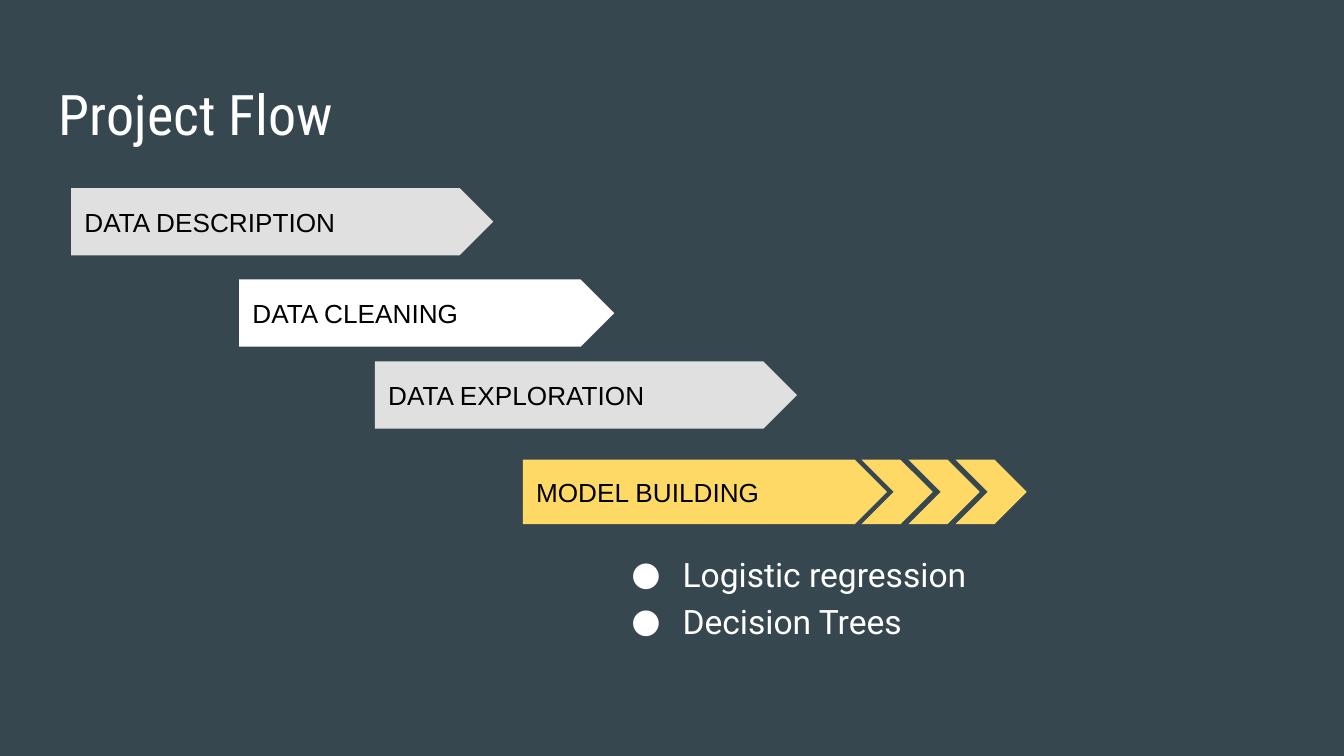
"""Build the Project Flow slide: staggered stage arrows and the models used."""
from lxml import etree
from pptx import Presentation
from pptx.dml.color import RGBColor
from pptx.enum.shapes import MSO_SHAPE
from pptx.enum.text import MSO_ANCHOR, PP_ALIGN
from pptx.oxml.ns import qn
from pptx.util import Inches, Pt

PENTAGON, CHEVRON = MSO_SHAPE.PENTAGON, MSO_SHAPE.CHEVRON
TOP, MIDDLE, LEFT = MSO_ANCHOR.TOP, MSO_ANCHOR.MIDDLE, PP_ALIGN.LEFT
SLATE, WHITE, BLACK = "37474F", "FFFFFF", "000000"
GREY, YELLOW = "E0E0E0", "FFD966"

SLIDE_WIDTH = 10
SLIDE_HEIGHT = SLIDE_WIDTH * 9 / 16
TITLE = "Project Flow"
STAGES = [
    ("DATA DESCRIPTION", 0.53, 1.4, 3.14, GREY),
    ("DATA CLEANING", 1.78, 2.08, 2.79, WHITE),
    ("DATA EXPLORATION", 2.79, 2.69, 3.14, GREY),
]
STAGE_HEIGHT = 0.5
FINAL_STAGE = ("MODEL BUILDING", 3.89, 3.42, 2.71, YELLOW)
FINAL_HEIGHT = 0.48
CHEVRON_COUNT, CHEVRON_LEFT, CHEVRON_WIDTH, CHEVRON_STEP = 3, 6.41, 0.53, 0.35
MODELS = ["Logistic regression", "Decision Trees"]


def rgb(color):
    """Turn a hex string into a colour."""
    return RGBColor.from_string(color)


def write(shape, *lines, font, size, color, anchor=TOP, spacing=None, bullet=None):
    """Fill a shape with one paragraph per line."""
    frame = shape.text_frame
    frame.word_wrap = True
    frame.vertical_anchor = anchor
    frame.margin_left = frame.margin_right = Inches(0.1)
    frame.margin_top = frame.margin_bottom = Inches(0.1)
    for index, line in enumerate(lines):
        paragraph = frame.add_paragraph() if index else frame.paragraphs[0]
        paragraph.alignment = LEFT
        if spacing:
            paragraph.line_spacing = spacing
        run = paragraph.add_run()
        run.text = line
        run.font.name, run.font.size = font, Pt(size)
        run.font.color.rgb = rgb(color)
        if bullet:
            properties = paragraph._p.get_or_add_pPr()
            properties.set("marL", str(Inches(0.5)))
            properties.set("indent", str(Inches(-0.38)))
            bullet_color = etree.SubElement(properties, qn("a:buClr"))
            etree.SubElement(bullet_color, qn("a:srgbClr"), val=color)
            etree.SubElement(properties, qn("a:buFont"), typeface=font)
            etree.SubElement(properties, qn("a:buChar"), char=bullet)


def add_arrow(shapes, kind, left, top, width, height, color):
    """Add a flat, unlined arrow shape."""
    arrow = shapes.add_shape(kind, Inches(left), Inches(top), Inches(width), Inches(height))
    arrow.adjustments[0] = 0.5
    arrow.shadow.inherit = False
    arrow.fill.solid()
    arrow.fill.fore_color.rgb = rgb(color)
    arrow.line.fill.background()
    return arrow


def add_stage(shapes, stage, height):
    """Add a labelled stage arrow."""
    label, left, top, width, color = stage
    arrow = add_arrow(shapes, PENTAGON, left, top, width, height, color)
    write(arrow, label, font="Arial", size=14, color=BLACK, anchor=MIDDLE)


def main():
    """Lay out the slide and save it."""
    deck = Presentation()
    deck.slide_width, deck.slide_height = Inches(SLIDE_WIDTH), Inches(SLIDE_HEIGHT)
    slide = deck.slides.add_slide(deck.slide_layouts[6])
    slide.background.fill.solid()
    slide.background.fill.fore_color.rgb = rgb(SLATE)
    shapes = slide.shapes

    title = shapes.add_textbox(Inches(0.34), Inches(0.49), Inches(9.32), Inches(0.63))
    write(title, TITLE, font="Roboto Condensed", size=30, color=WHITE)

    for stage in STAGES:
        add_stage(shapes, stage, STAGE_HEIGHT)

    final = shapes.add_group_shape().shapes
    add_stage(final, FINAL_STAGE, FINAL_HEIGHT)
    for index in range(CHEVRON_COUNT):
        left = CHEVRON_LEFT + index * CHEVRON_STEP
        add_arrow(final, CHEVRON, left, FINAL_STAGE[2], CHEVRON_WIDTH, FINAL_HEIGHT, YELLOW)

    models = shapes.add_textbox(Inches(4.48), Inches(3.98), Inches(3.75), Inches(1.1))
    write(models, *MODELS, font="Roboto", size=18, color=WHITE, spacing=1.15, bullet="●")

    deck.save("out.pptx")


if __name__ == "__main__":
    main()
